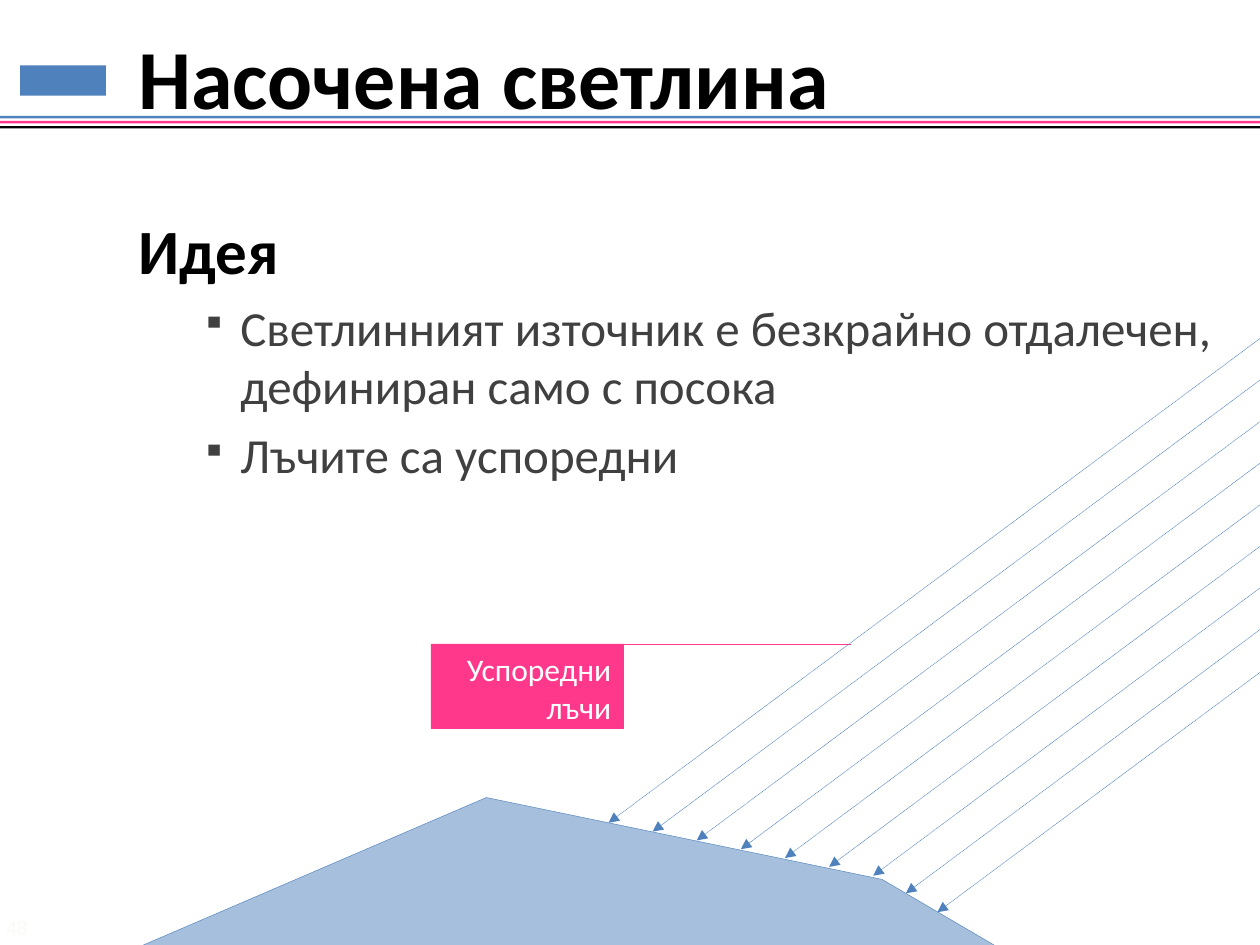
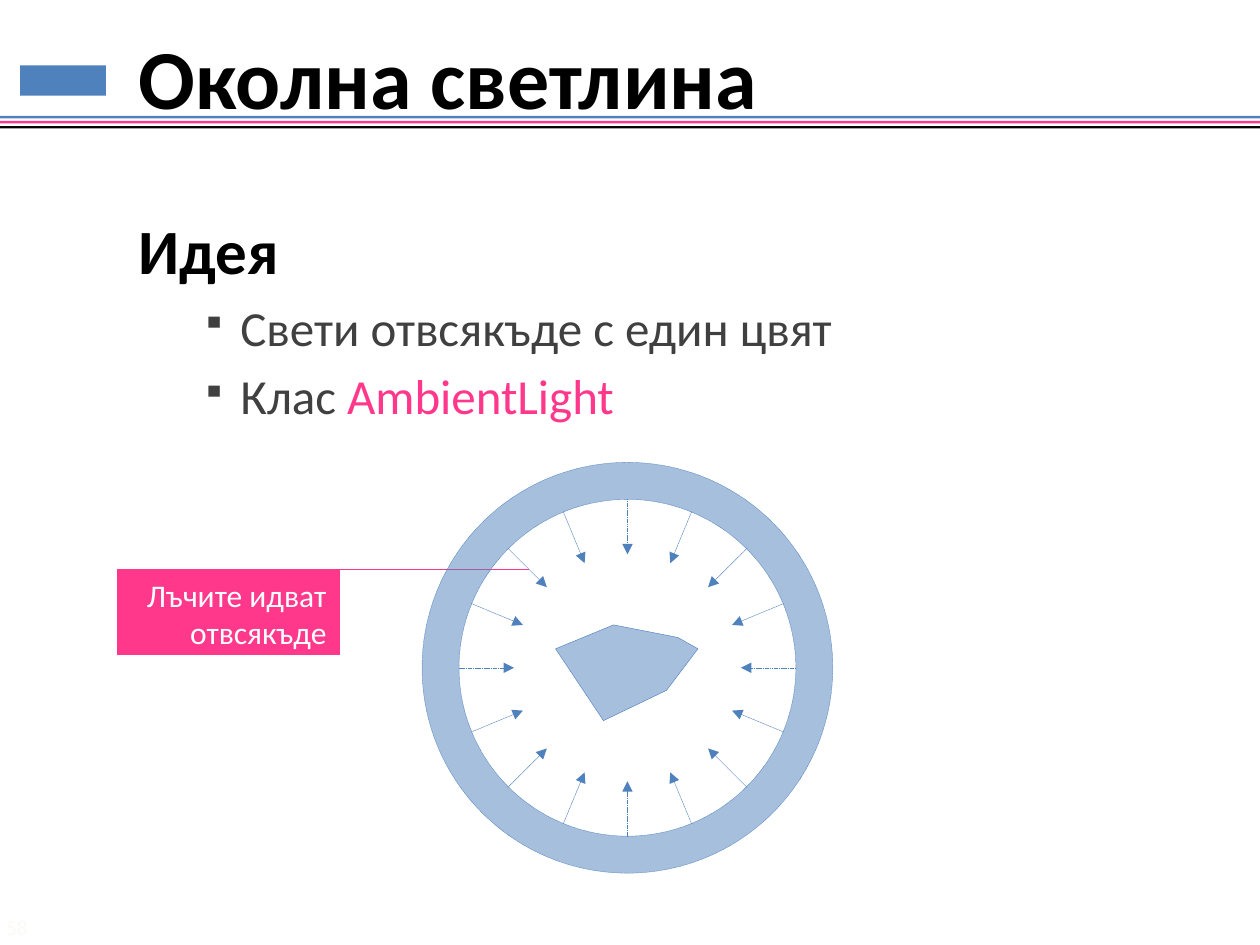
"""Build two slides on directional and ambient light."""
from math import cos, pi, sin

from lxml.etree import SubElement
from pptx import Presentation
from pptx.dml.color import RGBColor
from pptx.enum.dml import MSO_LINE
from pptx.enum.shapes import MSO_CONNECTOR, MSO_SHAPE
from pptx.enum.text import MSO_ANCHOR, PP_ALIGN
from pptx.oxml.ns import qn
from pptx.util import Pt

PX = 9144
BLUE = RGBColor(0x4F, 0x81, 0xBD)
PINK = RGBColor(0xFF, 0x38, 0x8C)
BLACK = RGBColor(0, 0, 0)
WHITE = RGBColor(0xFF, 0xFF, 0xFF)
GRAY = RGBColor(0x40, 0x40, 0x40)
FAINT = RGBColor(0xFB, 0xFA, 0xF6)
HAIRLINE = Pt(0.25)


def write(para, text, size=28, color=GRAY, bold=False):
    span = para.add_run()
    span.text = text
    span.font.name = "Calibri"
    span.font.size = Pt(size)
    span.font.color.rgb = color
    span.font.bold = bold


def paint(shape, color, outlined=True, opacity=100):
    shape.shadow.inherit = False
    shape.fill.solid()
    shape.fill.fore_color.rgb = color
    if opacity < 100:
        tint = shape._element.spPr.find(qn("a:solidFill"))[0]
        SubElement(tint, qn("a:alpha"), val=str(opacity * 1000))
    if outlined:
        shape.line.color.rgb = color
        shape.line.width = HAIRLINE
    else:
        shape.line.fill.background()


RAY_SLOPE, RAY_START = 0.744, 1013
tips = [(483 + 35 * step, 653 + 7 * step) for step in range(7)] + [(719, 709), (744, 724)]
parallel_rays = [((RAY_START, round(y - RAY_SLOPE * (RAY_START - x))), (x, y)) for x, y in tips]

CENTER_X, CENTER_Y, OUTER, RAY_FROM, RAY_TO = 498, 530, 163, 134, 90
angles = [step * pi / 8 for step in range(16)]
inward_rays = [
    [(round(CENTER_X + radius * cos(angle)), round(CENTER_Y + radius * sin(angle)))
     for radius in (RAY_FROM, RAY_TO)]
    for angle in angles
]

topics = [
    {
        "title": "Насочена светлина",
        "number": "48",
        "bullets": [
            [("Светлинният източник е безкрайно отдалечен, дефиниран само с посока", GRAY)],
            [("Лъчите са успоредни", GRAY)],
        ],
        "callout": ("Успоредни лъчи", 342, 511, 153, 675),
        "solid": [(386, 633), (700, 698), (799, 756), (100, 756)],
        "rays": parallel_rays,
        "ringed": False,
    },
    {
        "title": "Околна светлина",
        "number": "58",
        "bullets": [
            [("Свети отвсякъде с един цвят", GRAY)],
            [("Клас ", GRAY), ("AmbientLight", PINK)],
        ],
        "callout": ("Лъчите идват отвсякъде", 93, 452, 176, 420),
        "solid": [(487, 496), (538, 506), (554, 515), (529, 548), (479, 572), (441, 515)],
        "rays": inward_rays,
        "ringed": True,
    },
]

deck = Presentation()
deck.slide_width = 1000 * PX
deck.slide_height = 750 * PX

for topic in topics:
    page = deck.slides.add_slide(deck.slide_layouts[6])
    shapes = page.shapes

    emblem = shapes.add_shape(MSO_SHAPE.RECTANGLE, 16 * PX, 52 * PX, 68 * PX, 24 * PX)
    paint(emblem, BLUE, outlined=False)
    for row, color in enumerate((BLUE, PINK, BLACK)):
        band = shapes.add_shape(
            MSO_SHAPE.RECTANGLE, 0, (92 + 4 * row) * PX, 1000 * PX, 2 * PX)
        paint(band, color, outlined=False)

    title = shapes.add_textbox(100 * PX, 25 * PX, 900 * PX, 71 * PX).text_frame
    title.word_wrap = True
    title.vertical_anchor = MSO_ANCHOR.MIDDLE
    write(title.paragraphs[0], topic["title"], size=48, color=BLACK, bold=True)

    number = shapes.add_textbox(0, 722 * PX, 60 * PX, 28 * PX).text_frame
    number.margin_left = 5 * PX
    number.margin_top = number.margin_bottom = 0
    number.vertical_anchor = MSO_ANCHOR.MIDDLE
    write(number.paragraphs[0], topic["number"], size=12, color=FAINT)

    body = shapes.add_textbox(100 * PX, 133 * PX, 892 * PX, 608 * PX).text_frame
    body.word_wrap = True
    body.paragraphs[0].line_spacing = 1.5
    write(body.paragraphs[0], "Идея", size=36, color=BLACK, bold=True)
    for bullet in topic["bullets"]:
        para = body.add_paragraph()
        para.space_before = Pt(5.6)
        props = para._p.get_or_add_pPr()
        props.set("marL", str(81 * PX))
        props.set("indent", str(-31 * PX))
        tint = SubElement(props, qn("a:buClr"))
        SubElement(tint, qn("a:srgbClr"), val=str(GRAY))
        SubElement(props, qn("a:buSzPct"), val="70000")
        SubElement(props, qn("a:buChar"), char="▪")
        for text, color in bullet:
            write(para, text, color=color)

    text, left, top, width, line_end = topic["callout"]
    callout = shapes.add_shape(
        MSO_SHAPE.RECTANGLE, left * PX, top * PX, width * PX, 67 * PX)
    paint(callout, PINK)
    callout.text_frame.word_wrap = True
    callout.text_frame.vertical_anchor = MSO_ANCHOR.TOP
    para = callout.text_frame.paragraphs[0]
    para.alignment = PP_ALIGN.RIGHT
    write(para, text, size=18, color=WHITE)

    strokes = [((left, top), (line_end, top), PINK)]
    strokes += [(start, end, BLUE) for start, end in topic["rays"]]
    for (x1, y1), (x2, y2), color in strokes:
        stroke = shapes.add_connector(
            MSO_CONNECTOR.STRAIGHT, x1 * PX, y1 * PX, x2 * PX, y2 * PX)
        stroke.line.color.rgb = color
        stroke.line.width = HAIRLINE
        if color == BLUE:
            stroke.line.dash_style = MSO_LINE.SQUARE_DOT
            SubElement(stroke._element.spPr.find(qn("a:ln")), qn("a:tailEnd"), type="triangle")
        SubElement(stroke._element.spPr, qn("a:effectLst"))

    corners = topic["solid"]
    outline = shapes.build_freeform(*corners[0], scale=PX)
    outline.add_line_segments(corners[1:], close=True)
    paint(outline.convert_to_shape(), BLUE, opacity=50)

    if topic["ringed"]:
        ring = shapes.add_shape(
            MSO_SHAPE.DONUT, (CENTER_X - OUTER) * PX, (CENTER_Y - OUTER) * PX,
            2 * OUTER * PX, 2 * OUTER * PX)
        ring.adjustments[0] = 0.09
        paint(ring, BLUE, opacity=50)
        ring.line.dash_style = MSO_LINE.ROUND_DOT

deck.save("out.pptx")
